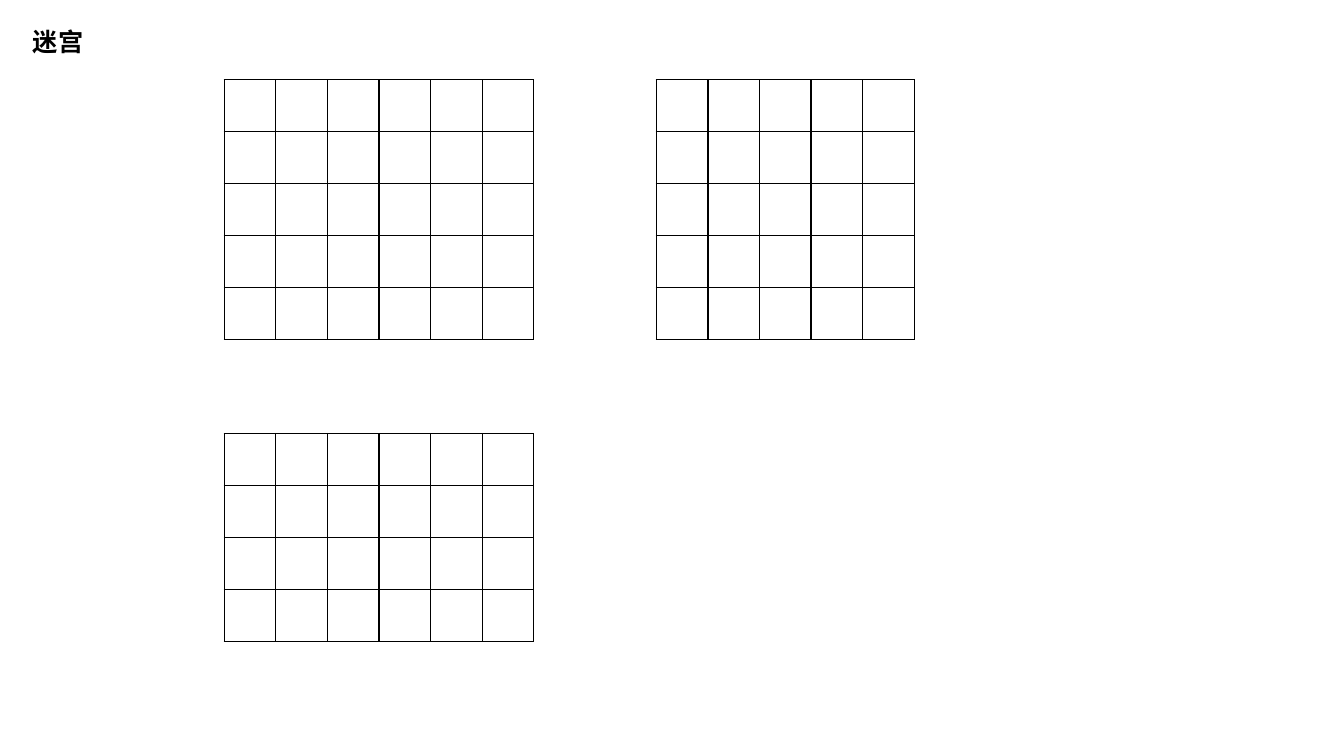
from dataclasses import dataclass

from lxml import etree
from pptx import Presentation
from pptx import util as u
from pptx.dml.color import RGBColor
from pptx.enum import text
from pptx.oxml import ns


@dataclass
class Theme:
    ink: str = "000000"
    font: str = "Noto Sans CJK SC"
    size: int = 18
    line: int = 1


theme = Theme()


def edge(cell):
    props = cell._tc.get_or_add_tcPr()
    for side in ("lnL", "lnR", "lnT", "lnB"):
        line = etree.SubElement(props, ns.qn(f"a:{side}"), w=str(u.Pt(theme.line)))
        fill = etree.SubElement(line, ns.qn("a:solidFill"))
        etree.SubElement(fill, ns.qn("a:srgbClr"), val=theme.ink)
    cell.fill.background()


deck = Presentation()
deck.slide_width, deck.slide_height = u.Cm(33.87), u.Cm(19.05)
slide = deck.slides.add_slide(deck.slide_layouts[6])

title = slide.shapes.add_textbox(u.Cm(0.58), u.Cm(0.53), u.Cm(1.85), u.Cm(1.02))
frame = title.text_frame
frame.word_wrap = False
frame.auto_size = text.MSO_AUTO_SIZE.SHAPE_TO_FIT_TEXT
frame.text = "迷宫"
run = frame.paragraphs[0].runs[0]
run.font.name = theme.font
run.font.size = u.Pt(theme.size)
run.font.bold = True
run.font.color.rgb = RGBColor.from_string(theme.ink)
etree.SubElement(run.font._element, ns.qn("a:ea"), typeface=theme.font)

wide, high = 1.3, 1.31
mazes = [
    (5.65, 2.01, 5, 6),
    (16.54, 2.01, 5, 5),
    (5.65, 10.92, 4, 6),
]

for left, top, rows, cols in mazes:
    grid = slide.shapes.add_table(
        rows, cols, u.Cm(left), u.Cm(top), u.Cm(cols * wide), u.Cm(rows * high)
    ).table
    grid.first_row = False
    grid.horz_banding = False
    for col in grid.columns:
        col.width = u.Cm(wide)
    for row in grid.rows:
        row.height = u.Cm(high)
    for cell in grid.iter_cells():
        edge(cell)

deck.save("out.pptx")
